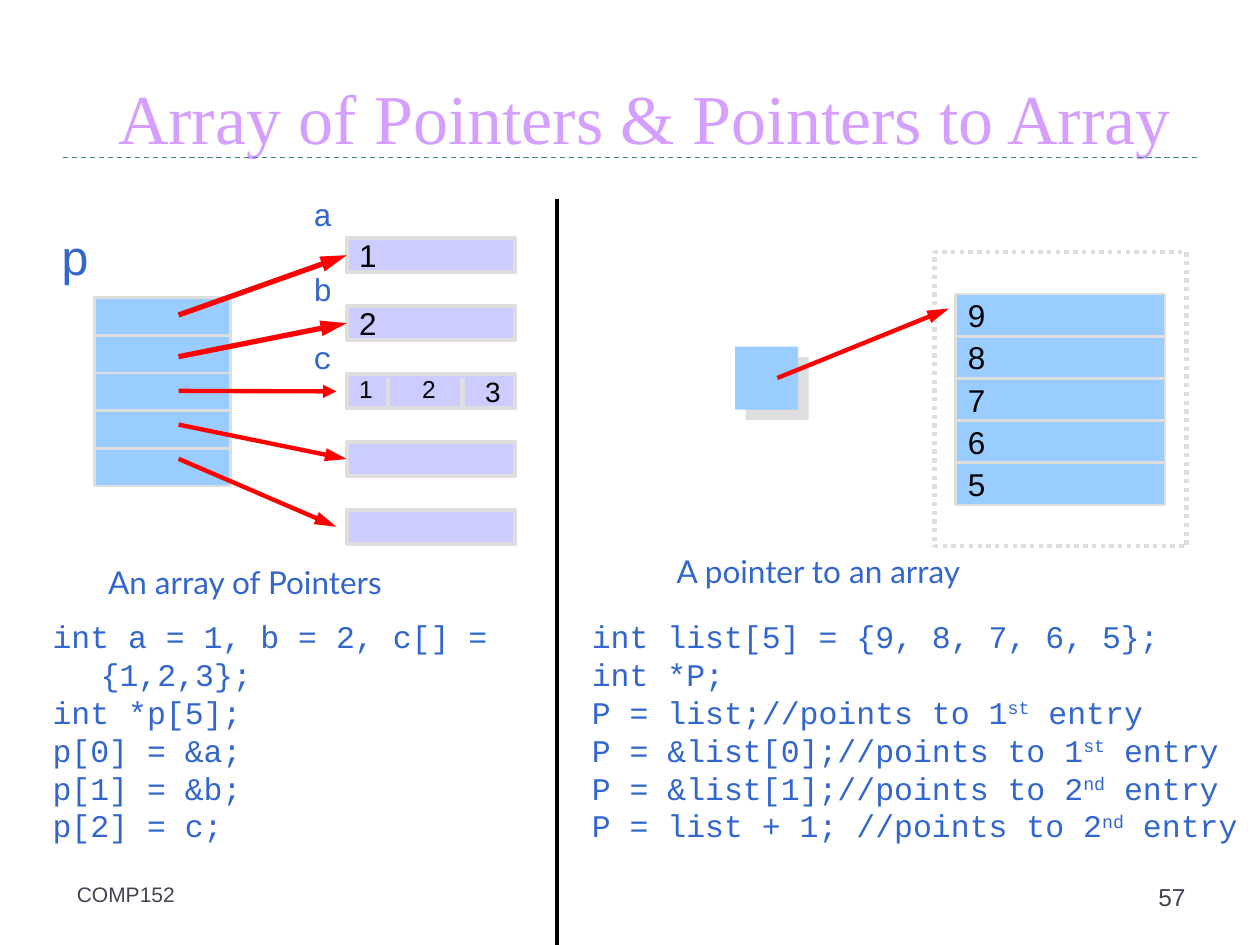
import pptx
import pptx.util
import pptx.dml.color
import pptx.enum.dml
import pptx.enum.shapes
import pptx.enum.text
import pptx.oxml
from pptx.oxml.ns import qn
from lxml import etree

Cm, Pt = pptx.util.Cm, pptx.util.Pt
RGB = pptx.dml.color.RGBColor.from_string
RECTANGLE = pptx.enum.shapes.MSO_SHAPE.RECTANGLE
STRAIGHT = pptx.enum.shapes.MSO_CONNECTOR.STRAIGHT
DASH = pptx.enum.dml.MSO_LINE
ALIGN = pptx.enum.text.PP_ALIGN
ANCHOR = pptx.enum.text.MSO_ANCHOR

COLORS = {
    "title": "D49FFF", "rule": "438086", "text": "3366CC", "value": "000000",
    "footer": "424456", "pointer": "99CCFF", "target": "CCCCFF",
    "border": "DEDEDE", "arrow": "FF0000", "divider": "000000", "paper": "FFFFFF",
}


def write(frame, text, size=18, font="Courier New", color="text",
          align=ALIGN.LEFT, anchor=ANCHOR.TOP, hanging=0):
    """Fill a text frame, one paragraph a line; ^marks^ enclose superscripts."""
    frame.word_wrap = True
    frame.vertical_anchor = anchor
    for number, line in enumerate(text.split("\n")):
        paragraph = frame.add_paragraph() if number else frame.paragraphs[0]
        paragraph.alignment = align
        if hanging:
            properties = paragraph._p.get_or_add_pPr()
            properties.set("marL", str(Cm(hanging)))
            properties.set("indent", str(-Cm(hanging)))
        for part, piece in enumerate(line.split("^")):
            run = paragraph.add_run()
            run.text = piece
            run.font.size = Pt(size)
            run.font.name = font
            run.font.color.rgb = RGB(COLORS[color])
            if part % 2:
                run._r.get_or_add_rPr().set("baseline", "30000")


def draw_line(start, end, color, width, head=None):
    """Draw a straight line; head is the length of its arrowhead, if any."""
    line = slide.shapes.add_connector(STRAIGHT, *map(Cm, start + end))
    line.line.color.rgb = RGB(COLORS[color])
    line.line.width = Pt(width)
    if head:
        etree.SubElement(line.line._get_or_add_ln(), qn("a:tailEnd"),
                         type="triangle", w="med", len=head)
    etree.SubElement(line._element.spPr, qn("a:effectLst"))
    return line


deck = pptx.Presentation()
deck.slide_width, deck.slide_height = Cm(25.4), Cm(19.05)
slide = deck.slides.add_slide(deck.slide_layouts[5])

draw_line((1.27, 3.18), (24.13, 3.18), "rule", 0.75).line.dash_style = DASH.DASH
title = slide.shapes.title
title.left, title.top, title.width, title.height = map(Cm, (2.06, 1.42, 21.87, 1.91))
write(title.text_frame, "Array of Pointers & Pointers to Array", size=40,
      font="Times New Roman", color="title", align=ALIGN.CENTER, anchor=ANCHOR.BOTTOM)

draw_line((11.23, 4.02), (11.23, 19.05), "divider", 2.5)

array_frame = slide.shapes.add_shape(RECTANGLE, *map(Cm, (18.84, 5.08, 5.08, 5.93)))
array_frame.shadow.inherit = False
array_frame.fill.solid()
array_frame.fill.fore_color.rgb = RGB(COLORS["paper"])
array_frame.line.color.rgb = RGB(COLORS["border"])
array_frame.line.width = Pt(2.5)
array_frame.line.dash_style = DASH.ROUND_DOT
array_frame.line._get_or_add_ln().find(qn("a:prstDash")).set("val", "sysDot")

# Columns of cells: left, top, width, height, pitch, fill, border width, values
columns = {
    "pointers": (1.91, 6, 2.74, 0.76, 0.76, "pointer", 1.5, [""] * 5),
    "targets": (6.99, 4.8, 3.39, 0.69, 1.37, "target", 2.5, ["1", "2", "", "", ""]),
    "list": (19.26, 5.93, 4.23, 0.85, 0.85, "pointer", 1.5, list("98765")),
}
cells = {}
for column, (left, top, width, height, pitch, fill, border, values) in columns.items():
    cells[column] = []
    for row, value in enumerate(values):
        cell = slide.shapes.add_shape(
            RECTANGLE, Cm(left), Cm(top + row * pitch), Cm(width), Cm(height))
        cell.shadow.inherit = False
        cell.fill.solid()
        cell.fill.fore_color.rgb = RGB(COLORS[fill])
        cell.line.color.rgb = RGB(COLORS["border"])
        cell.line.width = Pt(border)
        if value:
            write(cell.text_frame, value, font="Arial", color="value",
                  anchor=ANCHOR.MIDDLE)
        cells[column].append(cell)

for separator in (7.82, 9.32):
    draw_line((separator, 7.62), (separator, 8.26), "border", 2.5)

pointer = slide.shapes.add_shape(RECTANGLE, *map(Cm, (14.82, 6.99, 1.27, 1.27)))
pointer.fill.solid()
pointer.fill.fore_color.rgb = RGB(COLORS["pointer"])
pointer.line.fill.background()
pointer._element.spPr.append(pptx.oxml.parse_xml(
    '<a:effectLst xmlns:a="http://schemas.openxmlformats.org/drawingml/2006/main">'
    '<a:outerShdw dist="107950" dir="2700000" algn="ctr" rotWithShape="0">'
    f'<a:srgbClr val="{COLORS["border"]}"/></a:outerShdw></a:effectLst>'))

labels = [
    ("a", 6.07, 3.81, 2.79, 1.02, {}),
    ("b", 6.07, 5.31, 2.79, 1.02, {}),
    ("c", 6.07, 6.68, 2.79, 1.02, {}),
    ("p", 0.97, 4.45, 3, 1.45, {"size": 28}),
    ("An array of Pointers", 1.93, 11.23, 8.33, 1.02, {"font": "Lato"}),
    ("A pointer to an array", 13.39, 11, 8.59, 1.02, {"font": "Lato"}),
    ("int a = 1, b = 2, c[] = {1,2,3};\n"
     "int *p[5];\n"
     "p[0] = &a;\n"
     "p[1] = &b;\n"
     "p[2] = c;", 0.81, 12.32, 10.19, 4.83, {"hanging": 0.97}),
    ("int list[5] = {9, 8, 7, 6, 5};\n"
     "int *P;\n"
     "P = list;//points to 1^st^ entry\n"
     "P = &list[0];//points to 1^st^ entry\n"
     "P = &list[1];//points to 2^nd^ entry\n"
     "P = list + 1; //points to 2^nd^ entry", 11.68, 12.32, 13.72, 4.83,
     {"hanging": 0.97}),
    ("1", 6.99, 7.42, 0.8, 0.86, {"size": 14, "font": "Arial", "color": "value"}),
    ("2", 8.26, 7.42, 0.8, 0.86, {"size": 14, "font": "Arial", "color": "value"}),
    ("3", 9.53, 7.42, 0.82, 0.94, {"size": 16, "font": "Arial", "color": "value"}),
    ("COMP152", 1.3, 17.65, 16.51, 1.02,
     {"size": 12, "font": "Arial", "color": "footer"}),
    ("57", 18.64, 17.65, 5.51, 1.02,
     {"size": 14, "font": "Arial", "color": "footer", "align": ALIGN.RIGHT}),
]
for text, left, top, width, height, style in labels:
    box = slide.shapes.add_textbox(Cm(left), Cm(top), Cm(width), Cm(height))
    write(box.text_frame, text, **style)

# Arrows: start, end, width, head length, target cell joined at its left side
arrows = [
    ((3.6, 6.35), (6.99, 5.15), 3, "lg", 0),
    ((3.6, 7.19), (6.99, 6.52), 3, "lg", 1),
    ((3.6, 7.88), (6.78, 7.89), 2.5, "med", None),
    ((3.6, 8.56), (6.99, 9.26), 2.5, "lg", 3),
    ((3.6, 9.25), (6.78, 10.62), 2.5, "lg", None),
    ((15.67, 7.62), (19.13, 6.22), 2.5, "lg", None),
]
for start, end, width, head, target in arrows:
    arrow = draw_line(start, end, "arrow", width, head)
    if target is not None:
        arrow.end_connect(cells["targets"][target], 1)

deck.save("out.pptx")
